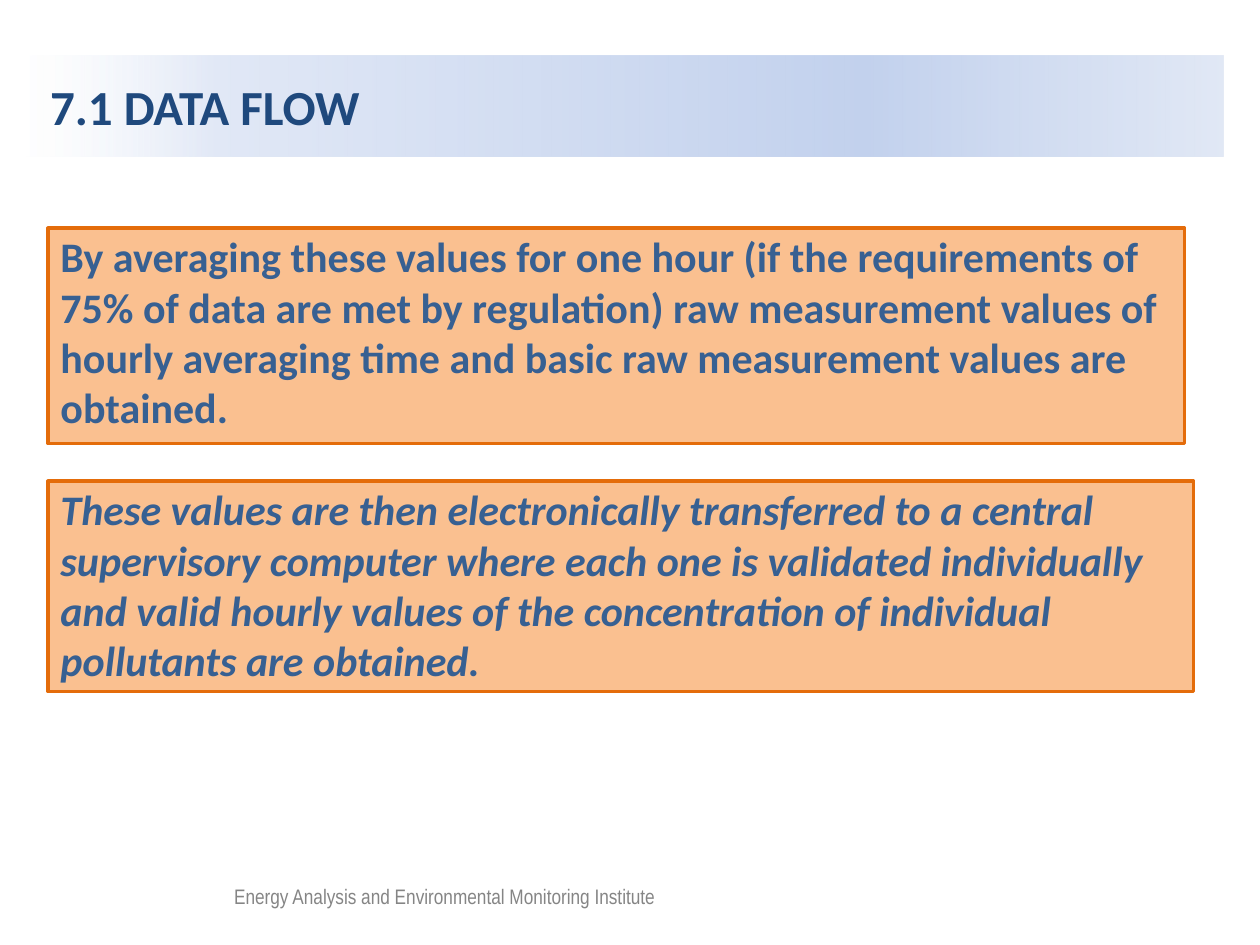
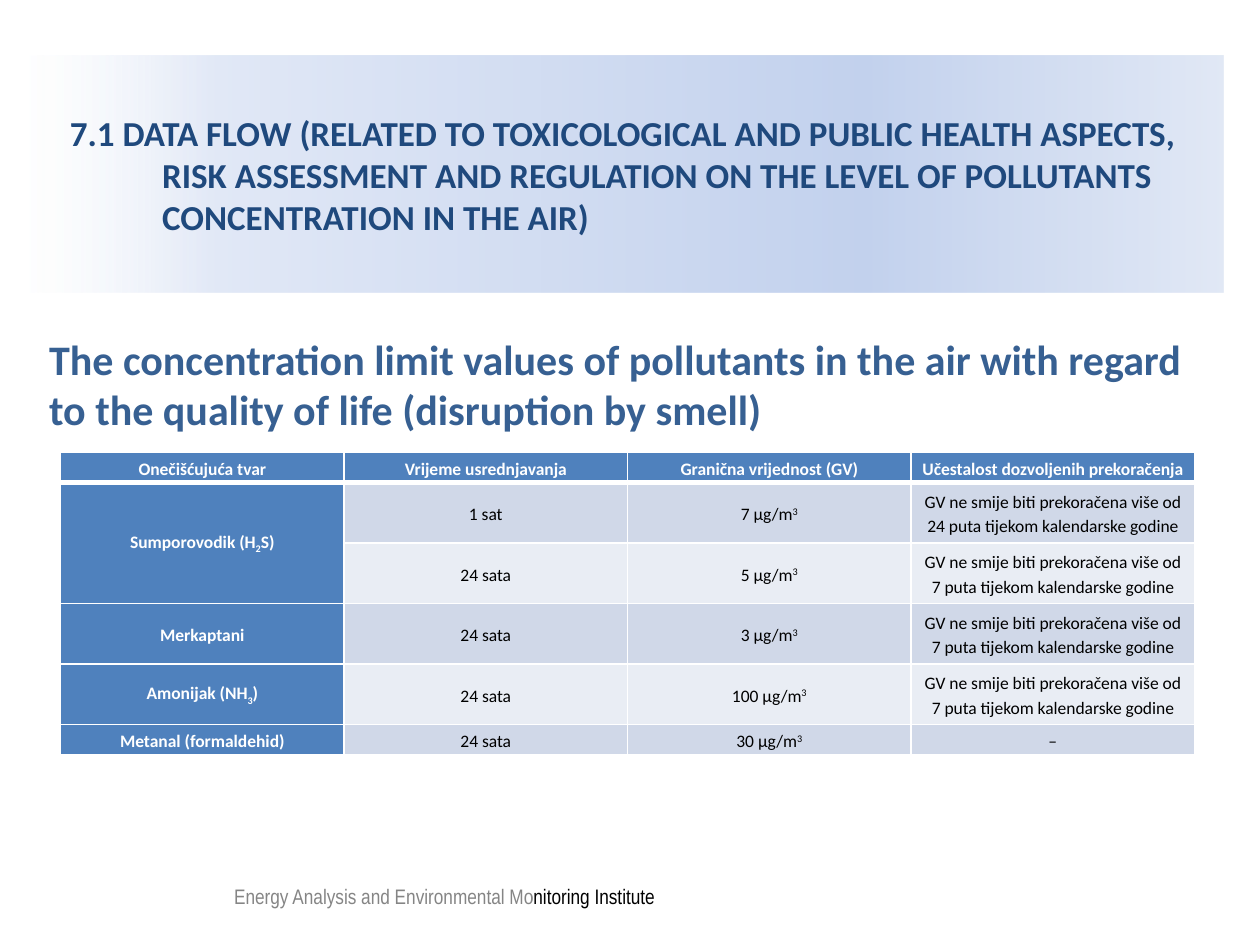
from lxml import etree
from pptx import Presentation
from pptx.dml.color import RGBColor
from pptx.enum.shapes import MSO_SHAPE
from pptx.enum.text import MSO_ANCHOR, PP_ALIGN
from pptx.oxml import parse_xml
from pptx.oxml.ns import nsdecls, qn
from pptx.util import Cm, Pt

RECTANGLE = MSO_SHAPE.RECTANGLE
TOP, MIDDLE = MSO_ANCHOR.TOP, MSO_ANCHOR.MIDDLE
LEFT, CENTER = PP_ALIGN.LEFT, PP_ALIGN.CENTER

BODY_FONT, FOOTER_FONT = "Calibri", "Arial Narrow"
WHITE, BLACK = "FFFFFF", "000000"
TITLE_BLUE, TEXT_BLUE = "1F497D", "376092"
BOX_ORANGE, EDGE_ORANGE = "FAC090", "E46C0A"
TABLE_BLUE, ROW_TINTS = "4F81BD", ("E9EDF4", "D0D8E8")
BAND_STOPS = ((0, WHITE, 52), (16, "E1E8F6", 100), (70, "C2D1ED", 100), (100, "E1E8F5", 100))
HANGING = Cm(2.49)
SUBSCRIPT, SUPERSCRIPT = -25000, 30000

FOOTER = "Energy Analysis and Environmental Monitoring Institute"
AVERAGING = (
    "By averaging these values for one hour (if the requirements of 75% of data are met "
    "by regulation) raw measurement values of hourly averaging time and basic raw "
    "measurement values are obtained."
)
TRANSFER = (
    "These values are then electronically transferred to a central supervisory computer "
    "where each one is validated individually and valid hourly values of the "
    "concentration of individual pollutants are obtained."
)
LONG_TITLE = (
    "7.1 DATA FLOW (RELATED TO TOXICOLOGICAL AND PUBLIC HEALTH ASPECTS, RISK ASSESSMENT "
    "AND REGULATION ON THE LEVEL OF POLLUTANTS CONCENTRATION IN THE AIR)"
)
LIMITS_HEADING = (
    "The concentration limit values of pollutants in the air with regard to the quality "
    "of life (disruption by smell)"
)
EXCEEDANCE = "GV\u00a0ne smije biti prekoračena više od {} puta tijekom kalendarske godine"
LIMITS = (
    ("Onečišćujuća tvar", "Vrijeme usrednjavanja", "Granična vrijednost (GV)",
     "Učestalost dozvoljenih prekoračenja"),
    ("Sumporovodik (H|2|S)", "1 sat", "7 µg/m|3", EXCEEDANCE.format(24)),
    ("", "24 sata", "5 µg/m|3", EXCEEDANCE.format(7)),
    ("Merkaptani", "24 sata", "3 µg/m|3", EXCEEDANCE.format(7)),
    ("Amonijak (NH|3|)", "24 sata", "100 µg/m|3", EXCEEDANCE.format(7)),
    ("Metanal (formaldehid)", "24 sata", "30 µg/m|3", "–"),
)


def rgb(hex_code):
    """Turn a hex string into a colour."""
    return RGBColor.from_string(hex_code)


def style(paragraph, size, color, name=BODY_FONT, bold=True, italic=False, align=LEFT):
    """Set the font and alignment of a paragraph."""
    paragraph.alignment = align
    font = paragraph.font
    font.size, font.name, font.bold, font.italic = Pt(size), name, bold, italic
    font.color.rgb = rgb(color)


def write(frame, text, size, color, anchor=TOP, wrap=True, **looks):
    """Write one styled paragraph into a text frame and return it."""
    frame.word_wrap = wrap
    frame.vertical_anchor = anchor
    paragraph = frame.paragraphs[0]
    paragraph.text = text
    style(paragraph, size, color, **looks)
    return paragraph


def add_rectangle(slide, left, top, width, height, fill=None):
    """Add a rectangle without shadow or outline, placed in centimetres."""
    rectangle = slide.shapes.add_shape(RECTANGLE, Cm(left), Cm(top), Cm(width), Cm(height))
    rectangle.shadow.inherit = False
    rectangle.line.fill.background()
    if fill:
        rectangle.fill.solid()
        rectangle.fill.fore_color.rgb = rgb(fill)
    return rectangle


def add_text(slide, left, top, width, height, text, size, color, **looks):
    """Add a text box placed in centimetres."""
    box = slide.shapes.add_textbox(Cm(left), Cm(top), Cm(width), Cm(height))
    write(box.text_frame, text, size, color, **looks)


def add_title(slide, text, height, size, first_indent):
    """Add the gradient title band with a hanging indent."""
    band = add_rectangle(slide, 0.53, 1.12, 24.13, height)
    stops = "".join(
        f'<a:gs pos="{position * 1000}"><a:srgbClr val="{color}">'
        f'<a:alpha val="{opacity * 1000}"/></a:srgbClr></a:gs>'
        for position, color, opacity in BAND_STOPS
    )
    gradient = parse_xml(
        f'<a:gradFill {nsdecls("a")} rotWithShape="1"><a:gsLst>{stops}</a:gsLst>'
        '<a:lin ang="0" scaled="1"/></a:gradFill>'
    )
    band.element.spPr.find(qn("a:prstGeom")).addnext(gradient)
    paragraph = write(band.text_frame, text, size, TITLE_BLUE, anchor=MIDDLE)
    properties = paragraph._p.get_or_add_pPr()
    properties.set("marL", str(HANGING))
    properties.set("indent", str(first_indent - HANGING))


def add_footer(slide, veil_width):
    """Add the institute name under a translucent white veil."""
    add_text(slide, 4.47, 17.68, 9.25, 0.76, FOOTER, 12, BLACK,
             name=FOOTER_FONT, bold=False, wrap=False)
    veil = add_rectangle(slide, 1.04, 17.6, veil_width, 1.22, WHITE)
    veil_color = veil.element.spPr.find(qn("a:solidFill"))[0]
    etree.SubElement(veil_color, qn("a:alpha")).set("val", "52000")


def add_statement(slide, top, width, height, text, italic=False):
    """Add an orange box holding one statement."""
    box = add_rectangle(slide, 0.97, top, width, height, BOX_ORANGE)
    box.line.color.rgb = rgb(EDGE_ORANGE)
    box.line.width = Pt(2)
    box.text_frame.margin_top = Cm(0.05)
    write(box.text_frame, text, 24, TEXT_BLUE, italic=italic)


def add_borders(cell, top_width, bottom_width):
    """Draw white borders around a table cell."""
    widths = {"lnL": 1, "lnR": 1, "lnT": top_width, "lnB": bottom_width}
    for side, width in widths.items():
        cell._tc.get_or_add_tcPr().append(parse_xml(
            f'<a:{side} {nsdecls("a")} w="{Pt(width)}"><a:solidFill>'
            f'<a:srgbClr val="{WHITE}"/></a:solidFill></a:{side}>'
        ))


def fill_cell(cell, text, row, column):
    """Write and colour one cell; parts between bars are raised or lowered."""
    is_label = row == 0 or column == 0
    cell.vertical_anchor = MIDDLE
    cell.margin_left = cell.margin_right = Cm(0.18)
    cell.margin_top = cell.margin_bottom = 0
    add_borders(cell, 3 if row == 1 else 1, 3 if row == 0 else 1)
    cell.fill.solid()
    cell.fill.fore_color.rgb = rgb(TABLE_BLUE if is_label else ROW_TINTS[row % 2])
    paragraph = cell.text_frame.paragraphs[0]
    paragraph.line_spacing = Pt(14)
    for index, part in enumerate(text.split("|")):
        run = paragraph.add_run()
        run.text = part
        if index % 2:
            shift = SUBSCRIPT if is_label else SUPERSCRIPT
            run._r.get_or_add_rPr().set("baseline", str(shift))
    style(paragraph, 10, WHITE if is_label else BLACK, bold=is_label, align=CENTER)


def add_limits_table(slide):
    """Add the table of limit values."""
    width = Cm(22.86)
    columns = len(LIMITS[0])
    table = slide.shapes.add_table(
        len(LIMITS), columns, Cm(1.22), Cm(9.12), width, Cm(6.1)).table
    for column in table.columns:
        column.width = width // columns
    for row, texts in enumerate(LIMITS):
        table.rows[row].height = Cm(0.61 if row in (0, len(LIMITS) - 1) else 1.22)
        for column, text in enumerate(texts):
            fill_cell(table.cell(row, column), text, row, column)
    table.cell(1, 0).merge(table.cell(2, 0))


def main():
    """Build both slides and save the deck."""
    deck = Presentation()
    deck.slide_width, deck.slide_height = Cm(25.4), Cm(19.05)
    blank = deck.slide_layouts[6]

    flow = deck.slides.add_slide(blank)
    add_title(flow, "7.1 DATA FLOW", 2.03, 28, Cm(0.23))
    add_footer(flow, 15.47)
    add_statement(flow, 4.6, 22.91, 4.34, AVERAGING)
    add_statement(flow, 9.7, 23.09, 4.24, TRANSFER, italic=True)

    limits = deck.slides.add_slide(blank)
    add_title(limits, LONG_TITLE, 4.78, 20, Cm(0.63))
    add_footer(limits, 9.7)
    add_text(limits, 0.74, 6.6, 23.95, 2.31, LIMITS_HEADING, 24, TEXT_BLUE)
    add_limits_table(limits)

    deck.save("out.pptx")


if __name__ == "__main__":
    main()
